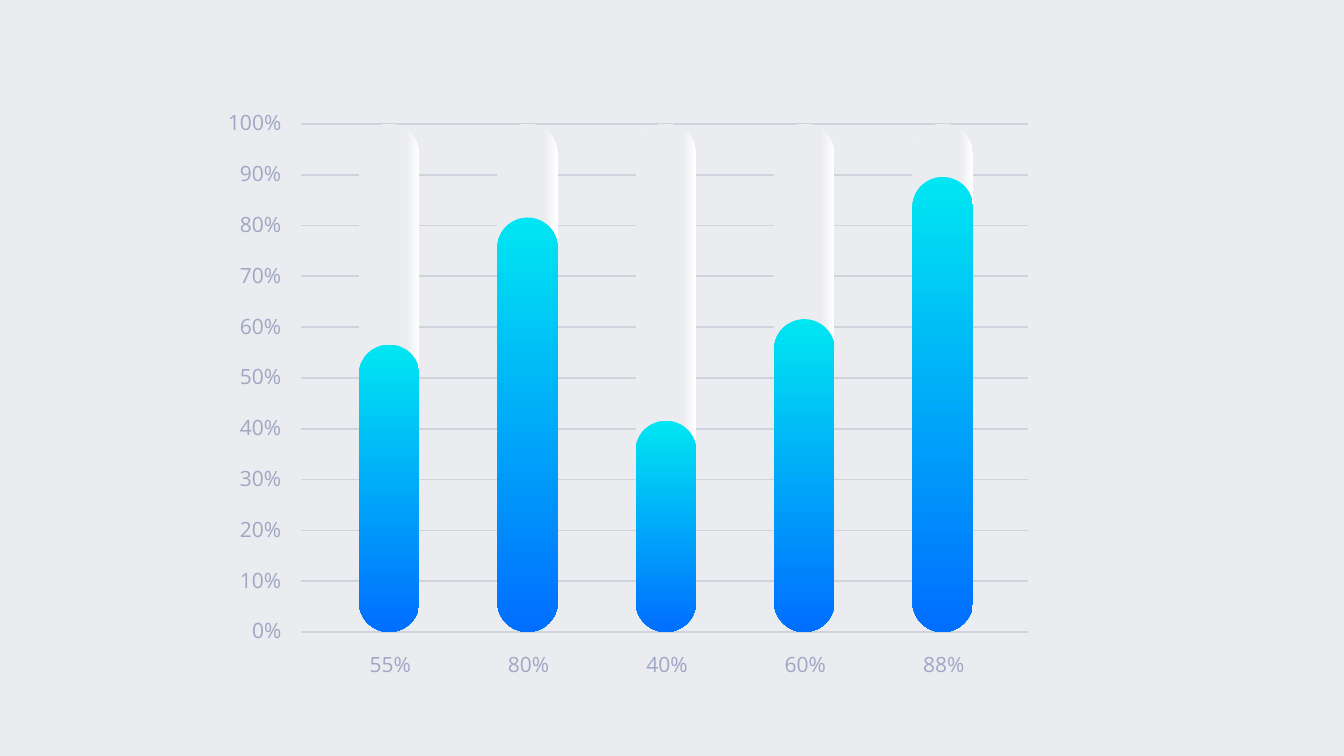
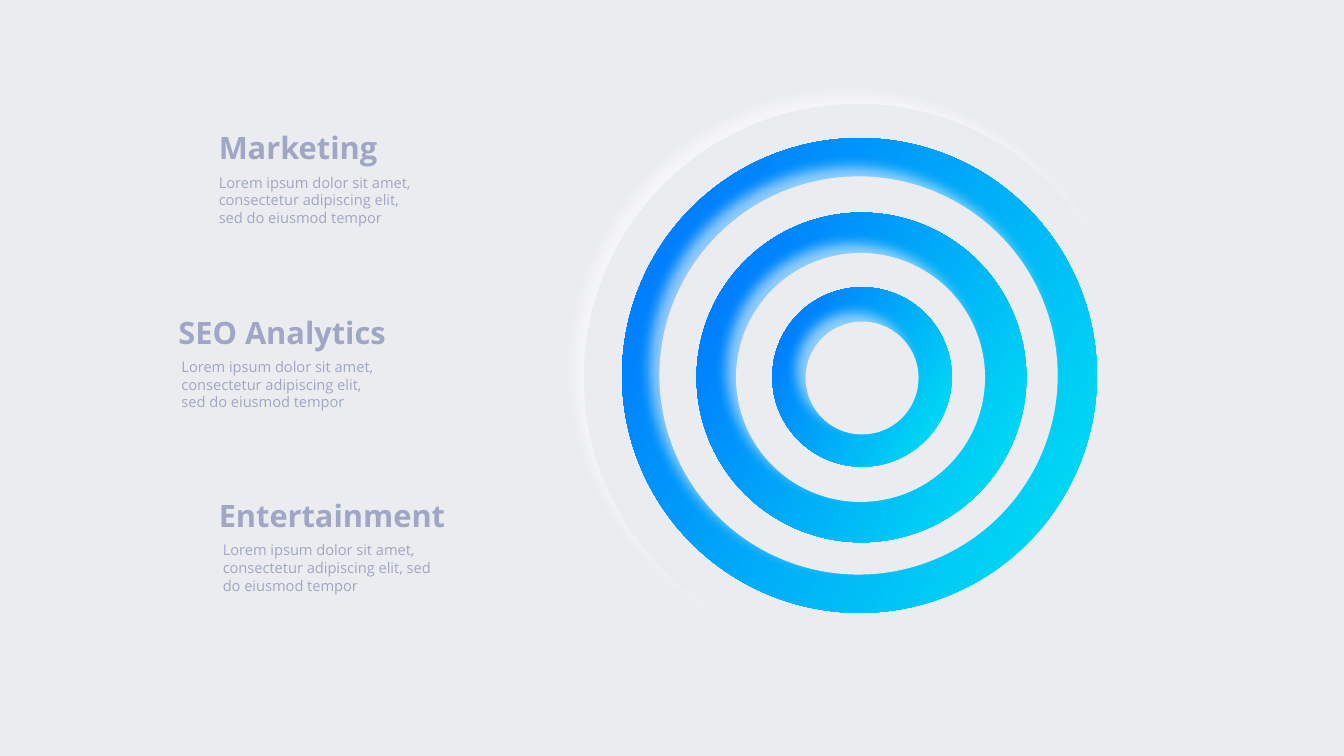
from dataclasses import dataclass

from lxml.etree import SubElement
from pptx import Presentation
from pptx.dml.color import RGBColor
from pptx.enum.shapes import MSO_CONNECTOR, MSO_SHAPE
from pptx.enum.text import PP_ALIGN
from pptx.oxml.ns import qn
from pptx.util import Inches, Pt


@dataclass(frozen=True)
class Theme:
    background: str = "EBECF0"
    grid: str = "D0D2DC"
    text: str = "9FA7C4"
    glow: str = "FFFFFF"
    accent: tuple = ((0, "00E6F2"), (100, "006EFF"))
    track: tuple = ((0, "FFFFFF"), (23, "EBECF0"), (100, "EBECF0"))
    font: str = "Open Sans"
    heading_size: float = 22
    label_size: float = 15
    body_size: float = 10.5


THEME = Theme()
BLANK_LAYOUT = 6

# Bar chart: plot area in inches
PLOT_LEFT, PLOT_RIGHT = 2.99, 10.2
PLOT_TOP, PLOT_BOTTOM = 1.23, 6.27
PLOT_HEIGHT = PLOT_BOTTOM - PLOT_TOP
BAR_LEFT, BAR_WIDTH = 3.56, 0.6
BAR_PITCH = (9.05 - BAR_LEFT) / 4
CAP_OVERSHOOT = 0.08
BAR_VALUES = (55, 80, 40, 60, 88)

# Concentric discs, back to front: left, top, diameter
DISCS = (
    (5.79, 1.03, 5.43), (6.17, 1.37, 4.71),
    (6.54, 1.75, 3.95), (6.91, 2.11, 3.27),
    (7.3, 2.51, 2.47), (7.66, 2.85, 1.78),
    (7.99, 3.19, 1.12),
)

# Heading, its left and top, then left and width of its body text
TOPICS = (
    ("Marketing", 2.17, 1.28, 2.17, 1.93),
    ("SEO Analytics", 1.77, 3.11, 1.8, 1.93),
    ("Entertainment", 2.17, 4.93, 2.21, 2.13),
)
BODY = ("Lorem ipsum dolor sit amet, consectetur adipiscing elit, "
        "sed do eiusmod tempor")


def rgb(color):
    return RGBColor.from_string(color)


def add_text(s, text, left, top, width, height, size,
             align=PP_ALIGN.LEFT, bold=False):
    tb = s.shapes.add_textbox(Inches(left), Inches(top),
                              Inches(width), Inches(height))
    tf = tb.text_frame
    tf.margin_left = tf.margin_right = tf.margin_top = tf.margin_bottom = 0
    tf.word_wrap = True
    p = tf.paragraphs[0]
    p.text = text
    p.alignment = align
    p.font.name = THEME.font
    p.font.size = Pt(size)
    p.font.bold = bold
    p.font.color.rgb = rgb(THEME.text)


def add_plain_shape(s, kind, left, top, width, height):
    sp = s.shapes.add_shape(kind, Inches(left), Inches(top),
                            Inches(width), Inches(height))
    sp.shadow.inherit = False
    sp.line.fill.background()
    return sp


def fill_gradient(sp, stops, angle):
    """Fill with (percent, colour) stops; angle is clockwise in degrees."""
    sp.fill.gradient()
    sp.fill.gradient_angle = 360 - angle
    stop_list = sp.element.spPr.find(".//" + qn("a:gsLst"))
    for stop in list(stop_list):
        stop_list.remove(stop)
    for percent, color in stops:
        stop = SubElement(stop_list, qn("a:gs"), pos=str(percent * 1000))
        SubElement(stop, qn("a:srgbClr"), val=color)


def add_glow(sp):
    """Cast a soft light shadow towards the upper left."""
    effects = sp.element.spPr.find(qn("a:effectLst"))
    shadow = SubElement(effects, qn("a:outerShdw"), blurRad=str(Pt(9)),
                        dist=str(Pt(9)), dir=str(225 * 60000),
                        algn="ctr", rotWithShape="0")
    color = SubElement(shadow, qn("a:srgbClr"), val=THEME.glow)
    SubElement(color, qn("a:alpha"), val="56000")


def add_grid_line(s, y):
    line = s.shapes.add_connector(MSO_CONNECTOR.STRAIGHT,
                                  Inches(PLOT_LEFT), Inches(y),
                                  Inches(PLOT_RIGHT), Inches(y))
    line.line.color.rgb = rgb(THEME.grid)
    line.line.width = Pt(1.25)
    SubElement(line.element.spPr, qn("a:effectLst"))


def add_pill(s, left, height, stops, angle):
    """Add a fully rounded bar that stands on the base line."""
    sp = add_plain_shape(s, MSO_SHAPE.ROUNDED_RECTANGLE, left,
                         PLOT_BOTTOM - height, BAR_WIDTH, height)
    sp.adjustments[0] = 0.5
    fill_gradient(sp, stops, angle)


def add_bar_slide(prs):
    s = prs.slides.add_slide(prs.slide_layouts[BLANK_LAYOUT])
    for percent in range(0, 101, 10):
        y = PLOT_BOTTOM - PLOT_HEIGHT * percent / 100
        add_grid_line(s, y)
        add_text(s, f"{percent}%", 1.99, y - 0.14, 0.8, 0.25,
                 THEME.label_size, PP_ALIGN.RIGHT)
    for i, value in enumerate(BAR_VALUES):
        left = BAR_LEFT + i * BAR_PITCH
        add_pill(s, left, PLOT_HEIGHT, THEME.track, 180)
        add_pill(s, left, PLOT_HEIGHT * value / 100 + CAP_OVERSHOOT,
                 THEME.accent, 90)
        add_text(s, f"{value}%", left + 0.01, 6.46, BAR_WIDTH, 0.25,
                 THEME.label_size, PP_ALIGN.CENTER)


def add_ring_slide(prs):
    s = prs.slides.add_slide(prs.slide_layouts[BLANK_LAYOUT])
    for i, (left, top, diameter) in enumerate(DISCS):
        disc = add_plain_shape(s, MSO_SHAPE.OVAL, left, top,
                               diameter, diameter)
        if i % 2:
            fill_gradient(disc, THEME.accent, 210)
        else:
            disc.fill.solid()
            disc.fill.fore_color.rgb = rgb(THEME.background)
            add_glow(disc)
    for heading, left, top, body_left, body_width in TOPICS:
        add_text(s, heading, left, top, 2.4, 0.37, THEME.heading_size,
                 bold=True)
        add_text(s, BODY, body_left, top + 0.44, body_width, 0.53,
                 THEME.body_size)


def main():
    prs = Presentation()
    prs.slide_width, prs.slide_height = Inches(13.33), Inches(7.5)
    background = prs.slide_master.background.fill
    background.solid()
    background.fore_color.rgb = rgb(THEME.background)
    add_bar_slide(prs)
    add_ring_slide(prs)
    prs.save("out.pptx")


if __name__ == "__main__":
    main()
